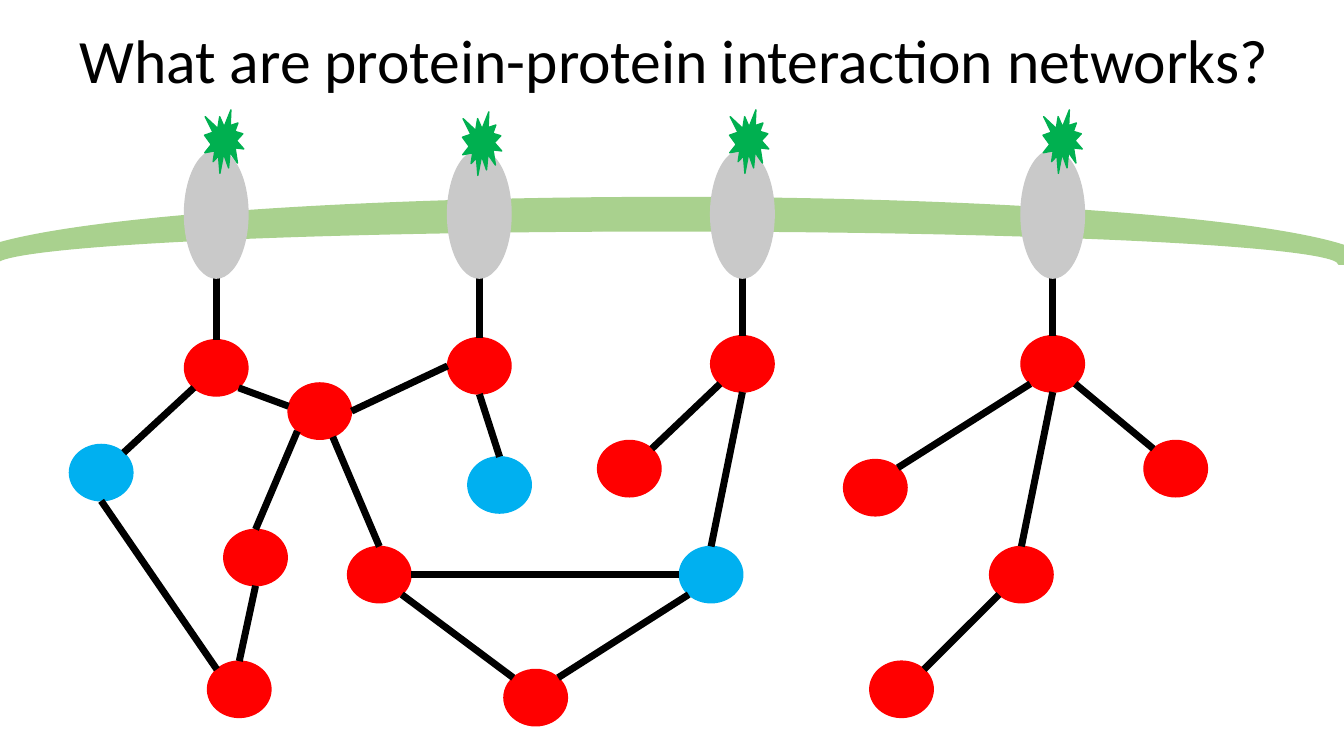
from math import cos, radians, sin

from lxml.etree import SubElement
from pptx import Presentation
from pptx.dml.color import RGBColor
from pptx.enum.shapes import MSO_CONNECTOR, MSO_SHAPE
from pptx.enum.text import MSO_ANCHOR, PP_ALIGN
from pptx.oxml.ns import qn
from pptx.util import Cm, Pt

BLACK = RGBColor(0x00, 0x00, 0x00)
RED = RGBColor(0xFF, 0x00, 0x00)
BLUE = RGBColor(0x00, 0xB0, 0xF0)
GREY = RGBColor(0xC9, 0xC9, 0xC9)
GREEN = RGBColor(0x00, 0xB0, 0x50)
LIGHT_GREEN = RGBColor(0xA9, 0xD1, 0x8E)

# All lengths are in centimetres
NODE_W, NODE_H = 1.6, 1.42
RECEPTOR_TOP, RECEPTOR_H = 3.78, 3.23
LIGAND_W, LIGAND_H = 0.99, 1.6

# Proteins: centre x, centre y, colour
PROTEINS = {
    "entry1": (5.45, 9.27, RED),
    "entry2": (12.08, 9.22, RED),
    "entry3": (18.71, 9.17, RED),
    "entry4": (26.53, 9.17, RED),
    "hub": (8.06, 10.36, RED),
    "far_left": (2.55, 11.91, BLUE),
    "left": (6.44, 14.05, RED),
    "left_end": (6.03, 17.37, RED),
    "middle": (9.56, 14.48, RED),
    "middle_end": (13.5, 17.58, RED),
    "branch2": (12.59, 12.22, BLUE),
    "branch3": (15.86, 11.81, RED),
    "bridge": (17.92, 14.48, BLUE),
    "branch4_left": (22.06, 12.29, RED),
    "branch4_right": (29.63, 11.81, RED),
    "right": (25.74, 14.48, RED),
    "right_end": (22.72, 17.37, RED),
}

# Interactions: protein and angle on its rim (clockwise from the right), twice
INTERACTIONS = [
    ("entry1", 45, "hub", 190),
    ("entry1", 135, "far_left", 315),
    ("entry2", 180, "hub", 0),
    ("entry2", 90, "branch2", 270),
    ("entry3", 135, "branch3", 315),
    ("entry3", 90, "bridge", 270),
    ("entry4", 135, "branch4_left", 315),
    ("entry4", 90, "right", 270),
    ("entry4", 45, "branch4_right", 225),
    ("hub", 135, "left", 270),
    ("hub", 66, "middle", 270),
    ("bridge", 180, "middle", 0),
    ("bridge", 135, "middle_end", 315),
    ("middle", 45, "middle_end", 225),
    ("right", 135, "right_end", 315),
    ("left", 90, "left_end", 270),
    ("far_left", 90, "left_end", 225),
]

# Ligands: protein below the receptor, centre x, top
LIGANDS = [
    ("entry1", 5.65, 2.77),
    ("entry2", 12.15, 2.82),
    ("entry3", 18.88, 2.77),
    ("entry4", 26.78, 2.77),
]


def add_text(slide, text, left, top, width, height, size=18, color=BLACK,
             font="Calibri", spacing=1.0):
    sp = slide.shapes.add_textbox(Cm(left), Cm(top), Cm(width), Cm(height))
    tf = sp.text_frame
    tf.word_wrap = True
    tf.vertical_anchor = MSO_ANCHOR.MIDDLE
    p = tf.paragraphs[0]
    p.alignment = PP_ALIGN.LEFT
    p.line_spacing = spacing
    r = p.add_run()
    r.text = text
    r.font.name = font
    r.font.size = Pt(size)
    r.font.color.rgb = color


def add_figure(slide, kind, center_x, top, width, height, color):
    sp = slide.shapes.add_shape(kind, Cm(center_x - width / 2), Cm(top),
                                Cm(width), Cm(height))
    sp.shadow.inherit = False
    sp.fill.solid()
    sp.fill.fore_color.rgb = color
    sp.line.color.rgb = color
    sp.line.width = Pt(1)
    return sp


def add_link(slide, start, end):
    points = [Cm(v) for v in (*start, *end)]
    line = slide.shapes.add_connector(MSO_CONNECTOR.STRAIGHT, *points)
    line.line.color.rgb = BLACK
    line.line.width = Pt(5)
    SubElement(line._element.spPr, qn("a:effectLst"))


def rim_point(name, angle):
    x, y, _ = PROTEINS[name]
    a = radians(angle)
    return x + NODE_W / 2 * cos(a), y + NODE_H / 2 * sin(a)


def main():
    prs = Presentation()
    prs.slide_width, prs.slide_height = Cm(33.87), Cm(19.05)
    slide = prs.slides.add_slide(prs.slide_layouts[6])

    # Title
    add_text(slide, "What are protein-protein interaction networks?",
             1.75, -0.25, 32.44, 3.68, size=44, spacing=0.9)

    # Cell membrane
    membrane = add_figure(slide, MSO_SHAPE.BLOCK_ARC, 16.82, 4.98, 35.51, 3.35,
                          LIGHT_GREEN)
    for i, value in enumerate((108.08, 0, 0.25)):
        membrane.adjustments[i] = value

    # Proteins and their interactions
    for x, y, color in PROTEINS.values():
        add_figure(slide, MSO_SHAPE.OVAL, x, y - NODE_H / 2, NODE_W, NODE_H, color)
    for first, angle1, second, angle2 in INTERACTIONS:
        add_link(slide, rim_point(first, angle1), rim_point(second, angle2))

    # Receptors with their ligands
    for entry, ligand_x, ligand_top in LIGANDS:
        x = PROTEINS[entry][0]
        add_link(slide, (x, RECEPTOR_TOP + RECEPTOR_H), rim_point(entry, 270))
        add_figure(slide, MSO_SHAPE.OVAL, x, RECEPTOR_TOP, NODE_W, RECEPTOR_H, GREY)
        add_figure(slide, MSO_SHAPE.EXPLOSION1, ligand_x, ligand_top,
                   LIGAND_W, LIGAND_H, GREEN)

    prs.save("out.pptx")


if __name__ == "__main__":
    main()
